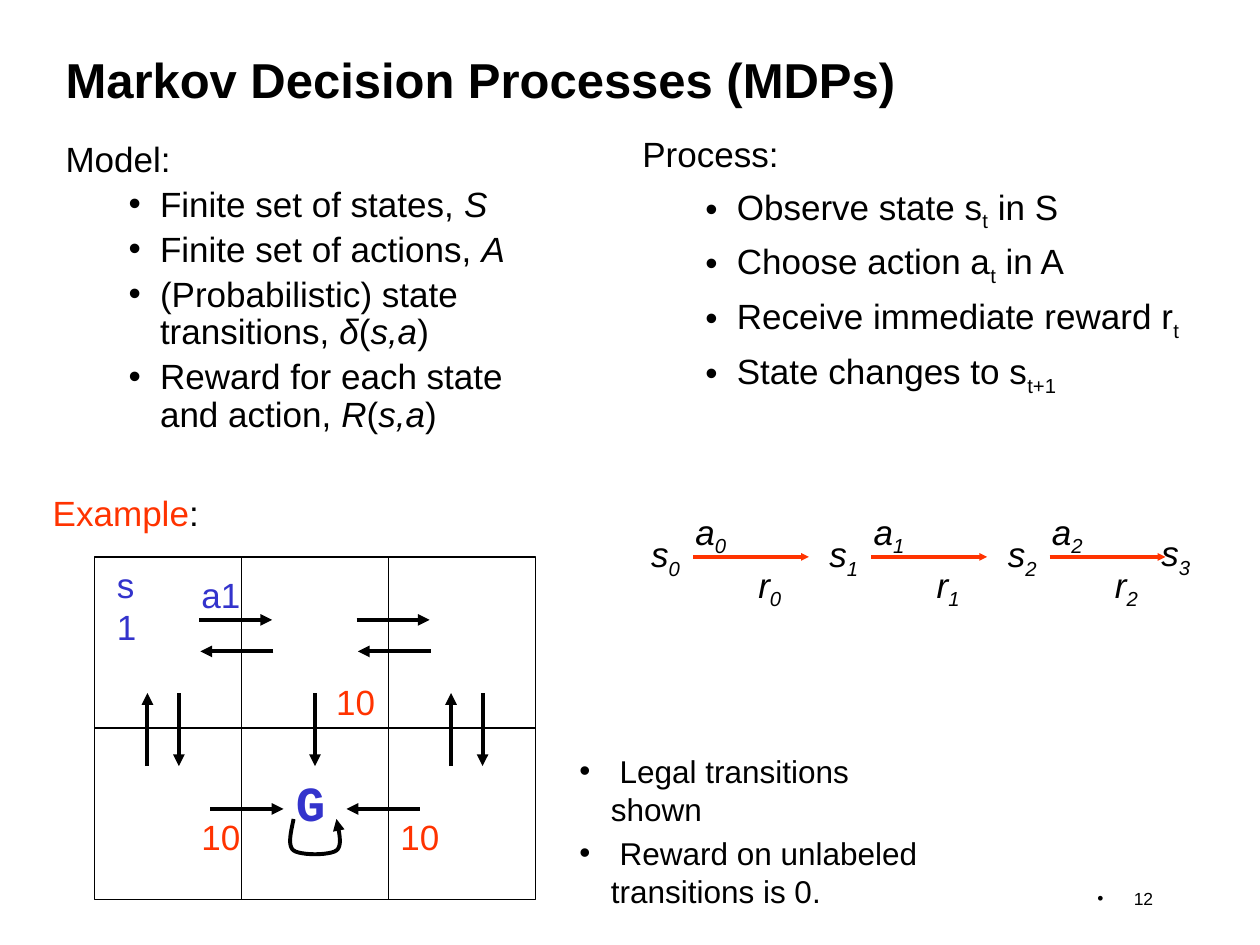
from lxml import etree
from pptx import Presentation
from pptx.dml.color import RGBColor
from pptx.enum.shapes import MSO_CONNECTOR, MSO_SHAPE
from pptx.enum.text import MSO_ANCHOR, PP_ALIGN
from pptx.oxml.ns import qn
from pptx.util import Inches, Pt

COLORS = {"black": "000000", "blue": "3333CC", "red": "FF3300"}

# Content: a paragraph is a list of runs, a run is (text, style)
TITLE = "Markov Decision Processes (MDPs)"
MODEL = [
    [("Finite set of states, ", ""), ("S", "i")],
    [("Finite set of actions, ", ""), ("A", "i")],
    [("(Probabilistic) state \ntransitions, ", ""), ("δ", "i"), ("(", ""), ("s,a", "i"), (")", "")],
    [("Reward for each state \nand action, ", ""), ("R", "i"), ("(", ""), ("s,a", "i"), (")", "")],
]
PROCESS = [
    [("Observe state s", ""), ("t", "sub"), (" in S", "")],
    [("Choose action a", ""), ("t", "sub"), (" in A", "")],
    [("Receive immediate reward r", ""), ("t", "sub")],
    [("State changes to s", ""), ("t+1", "sub")],
]
NOTES = [" Legal transitions\nshown", " Reward on unlabeled \ntransitions is 0."]

# Grid labels: text, left, top, width, color
GRID_LABELS = [
    ("s1", 0.83, 4.42, 0.49, "blue"),
    ("a1", 1.5, 4.5, 0.51, "blue"),
    ("10", 2.57, 5.35, 0.51, "red"),
    ("10", 3.08, 6.42, 0.51, "red"),
    ("10", 1.5, 6.42, 0.51, "red"),
]
# Legal moves: start x, start y, direction
MOVES = [
    (1.58, 4.92, "right"), (2.17, 5.17, "left"),
    (2.83, 4.92, "right"), (3.42, 5.17, "left"),
    (1.17, 6.08, "up"), (1.42, 5.5, "down"), (2.5, 5.5, "down"),
    (3.58, 6.08, "up"), (3.83, 5.5, "down"),
    (1.67, 6.42, "right"), (3.33, 6.42, "left"),
]
DIRECTIONS = {"right": (1, 0), "left": (-1, 0), "up": (0, -1), "down": (0, 1)}
MOVE_LENGTH = 0.58
# Loop at the goal: start point, then cubic curves
LOOP_START = (2.33, 6.5)
LOOP_CURVES = [
    ((2.31, 6.6), (2.28, 6.71), (2.33, 6.75)),
    ((2.39, 6.79), (2.61, 6.79), (2.67, 6.75)),
    ((2.72, 6.71), (2.69, 6.6), (2.67, 6.5)),
]


def rgb(name):
    return RGBColor.from_string(COLORS[name])


def add_text(tf, content, size=20, color="black", font="Arial", bold=False, italic=False,
             bullet=False, level=0, margin=0, hanging=0, line=None, align=PP_ALIGN.LEFT):
    """Write paragraphs after any text already in the frame."""
    for para in [content] if isinstance(content, str) else content:
        first = not tf.text
        p = tf.paragraphs[0] if first else tf.add_paragraph()
        p.alignment, p.level = align, level
        p.space_before = Pt(0 if first else size * 0.2)
        if line:
            p.line_spacing = line
        pPr = p._p.get_or_add_pPr()
        pPr.set("marL", str(Inches(margin)))
        pPr.set("indent", str(Inches(-hanging)))
        if bullet:
            etree.SubElement(pPr, qn("a:buFont"), typeface="Arial")
            etree.SubElement(pPr, qn("a:buChar"), char="•")
        else:
            etree.SubElement(pPr, qn("a:buNone"))
        for text, style in [(para, "")] if isinstance(para, str) else para:
            for i, part in enumerate(text.split("\n")):
                if i:
                    p.add_line_break()
                r = p.add_run()
                r.text = part
                f = r.font
                f.name, f.size, f.bold = font, Pt(size), bold
                f.italic = italic or style == "i"
                f.color.rgb = rgb(COLOR_STYLES.get(style, color))
                if style == "sub":
                    r._r.get_or_add_rPr().set("baseline", "-25000")


COLOR_STYLES = {"red": "red"}


def add_box(x, y, w, h, wrap=False):
    tf = s.shapes.add_textbox(Inches(x), Inches(y), Inches(w), Inches(h)).text_frame
    tf.word_wrap = wrap
    return tf


def add_label(content, x, y, w, h=0.43, **fmt):
    add_text(add_box(x, y, w, h), content, **fmt)


def style_arrow(sp, color, head):
    sp.line.color.rgb = rgb(color)
    sp.line.width = Pt(2.25)
    etree.SubElement(sp.line._get_or_add_ln(), qn("a:tailEnd"), type="triangle", w=head, len=head)


def add_arrow(x1, y1, x2, y2, color="black", head="med"):
    sp = s.shapes.add_connector(MSO_CONNECTOR.STRAIGHT, *map(Inches, (x1, y1, x2, y2)))
    style_arrow(sp, color, head)
    etree.SubElement(sp._element.spPr, qn("a:effectLst"))


def curve_points(start, curves, steps=12):
    points = []
    for c1, c2, end in curves:
        for k in range(1, steps + 1):
            t = k / steps
            u = 1 - t
            points.append(tuple(
                Inches(u**3 * a + 3 * u * u * t * b + 3 * u * t * t * c + t**3 * d)
                for a, b, c, d in zip(start, c1, c2, end)))
        start = end
    return points


def place(sp, x, y, w, h):
    sp.left, sp.top, sp.width, sp.height = map(Inches, (x, y, w, h))
    sp.text_frame.word_wrap = True
    return sp.text_frame


prs = Presentation()
prs.slide_width, prs.slide_height = Inches(10), Inches(7.5)
s = prs.slides.add_slide(prs.slide_layouts[1])
heading = dict(margin=0.25, hanging=0.25)
items = dict(bullet=True, level=1, margin=0.75, hanging=0.25)

# Title and model list
tf = place(s.shapes.title, 0.42, 0.17, 8.5, 0.92)
tf.vertical_anchor = MSO_ANCHOR.MIDDLE
add_text(tf, TITLE, size=28, bold=True)
tf = place(s.placeholders[1], 0.42, 1.08, 4.58, 2.67)
add_text(tf, "Model:", line=0.9, **heading)
add_text(tf, MODEL, line=0.9, **items)

# Process list
add_text(add_box(5, 1, 4.67, 0.5, wrap=True), "Process:", **heading)
add_text(add_box(5, 1.42, 4.67, 2.25, wrap=True), PROCESS, **items)

# Chain of states, actions and rewards
STEP = 1.415
for i in range(3):
    dx = i * STEP
    for name, x, y, w in [("s", 5.07, 4.18, 0.44), ("a", 5.42, 4, 0.46), ("r", 5.92, 4.42, 0.39)]:
        add_label([[(name, ""), (str(i), "sub")]], x + dx, y, w, italic=True)
    add_arrow(5.5 + dx, 4.42, 6.42 + dx, 4.42, color="red", head="sm")
add_label([[("s", ""), ("3", "sub")]], 9.12, 4.17, 0.44, italic=True)

# Example grid
add_label([[("Example", "red"), (":", "")]], 0.32, 3.85, 1.36)
CELL_W, CELL_H = 3.5 / 3, 1.36
for col in range(3):
    for row in range(2):
        sp = s.shapes.add_shape(MSO_SHAPE.RECTANGLE, Inches(0.75 + col * CELL_W),
                                Inches(4.42 + row * CELL_H), Inches(CELL_W), Inches(CELL_H))
        sp.shadow.inherit = False
        sp.fill.background()
        sp.line.color.rgb = rgb("black")
        sp.line.width = Pt(1)
for text, x, y, w, color in GRID_LABELS:
    add_label(text, x, y, w, color=color)
add_label("G", 2.25, 6.08, 0.43, 0.57, size=28, color="blue", font="Courier New", bold=True)

# Moves between cells and the loop at the goal
for x, y, direction in MOVES:
    dx, dy = DIRECTIONS[direction]
    add_arrow(x, y, x + dx * MOVE_LENGTH, y + dy * MOVE_LENGTH)
fb = s.shapes.build_freeform(*map(Inches, LOOP_START))
fb.add_line_segments(curve_points(LOOP_START, LOOP_CURVES), close=False)
loop = fb.convert_to_shape()
loop.shadow.inherit = False
loop.fill.background()
style_arrow(loop, "black", "med")

# Notes and slide number
add_label(NOTES, 4.5, 5.92, 2.97, 1.06, size=18, bullet=True, **heading)
add_text(add_box(6.83, 7, 2.42, 0.33, wrap=True), " 12", size=10, bullet=True,
         align=PP_ALIGN.RIGHT, **heading)

prs.save("out.pptx")
